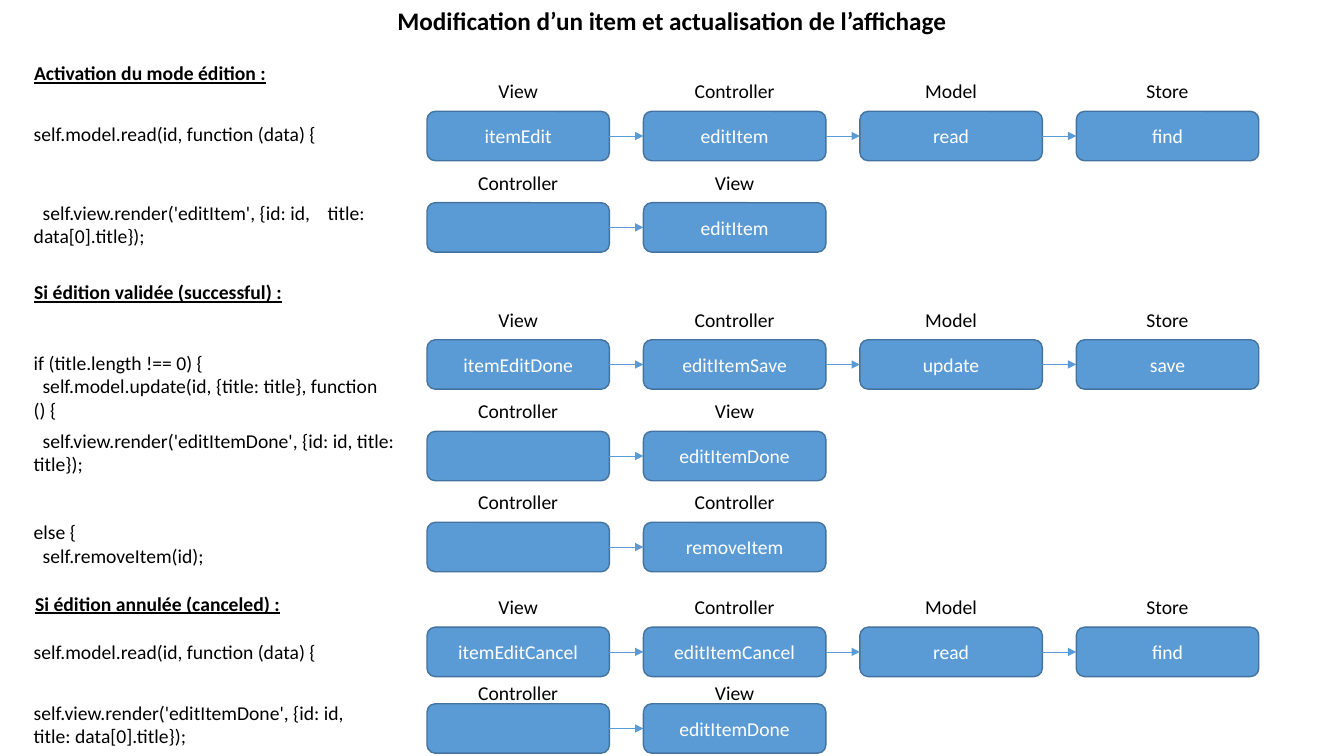
from lxml.etree import SubElement
from pptx import Presentation
from pptx.dml.color import RGBColor
from pptx.enum.shapes import MSO_CONNECTOR, MSO_SHAPE
from pptx.enum.text import MSO_ANCHOR, PP_ALIGN
from pptx.oxml.ns import qn
from pptx.util import Pt

COLORS = {"text": "000000", "box": "5B9BD5", "border": "43739E", "box_text": "FFFFFF"}
FONT = "Calibri"
SLIDE_W, SLIDE_H = 960, 540

# Flow grid
FIRST_LEFT, COLUMN_STEP = 305, 154.6
BOX_W, BOX_H = 130.3, 35.3
LABEL_W, LABEL_H = 100, 24.5
LABEL_RISE = 26.4

# Section headings: left, top, width, text
HEADINGS = [
    (17.3, 40.3, 183, "Activation du mode édition :"),
    (17.3, 196.6, 204, "Si édition validée (successful) :"),
    (18, 419, 232.5, "Si édition annulée (canceled) :"),
]

# Code excerpts: top, width, height, lines
EXCERPTS = [
    (83.5, 281, 24.5, ["self.model.read(id, function (data) {"]),
    (139.7, 281, 41, ["  self.view.render('editItem', {id: id,    title: data[0].title});"]),
    (247, 263.5, 58.3, ["if (title.length !== 0) {",
                        "  self.model.update(id, {title: title}, function () {"]),
    (302.6, 281, 41, ["  self.view.render('editItemDone', {id: id, title: title});"]),
    (367.9, 281, 41, ["else {", "  self.removeItem(id);"]),
    (453.8, 263.5, 24.5, ["self.model.read(id, function (data) {"]),
    (497, 263.5, 41, ["self.view.render('editItemDone', {id: id, title: data[0].title});"]),
]

# Flows: box top, label rise, (layer, function) steps
FLOWS = [
    (79.5, LABEL_RISE, [("View", "itemEdit"), ("Controller", "editItem"),
                        ("Model", "read"), ("Store", "find")]),
    (144.8, LABEL_RISE, [("Controller", ""), ("View", "editItem")]),
    (242.7, LABEL_RISE, [("View", "itemEditDone"), ("Controller", "editItemSave"),
                         ("Model", "update"), ("Store", "save")]),
    (308.1, LABEL_RISE, [("Controller", ""), ("View", "editItemDone")]),
    (373.1, LABEL_RISE, [("Controller", ""), ("Controller", "removeItem")]),
    (448, LABEL_RISE, [("View", "itemEditCancel"), ("Controller", "editItemCancel"),
                       ("Model", "read"), ("Store", "find")]),
    (502.7, 20.2, [("Controller", ""), ("View", "editItemDone")]),
]


def rgb(name):
    return RGBColor.from_string(COLORS[name])


def write_lines(frame, lines, color="text", size=14, align=PP_ALIGN.LEFT,
                bold=False, underline=False):
    frame.word_wrap = True
    for index, line in enumerate(lines):
        paragraph = frame.add_paragraph() if index else frame.paragraphs[0]
        paragraph.alignment = align
        run = paragraph.add_run()
        run.text = line
        run.font.name = FONT
        run.font.size = Pt(size)
        run.font.bold = bold
        run.font.underline = underline
        run.font.color.rgb = rgb(color)


def add_text(slide, left, top, width, height, lines, **style):
    box = slide.shapes.add_textbox(Pt(left), Pt(top), Pt(width), Pt(height))
    write_lines(box.text_frame, lines, **style)


def add_step(slide, left, top, function):
    step = slide.shapes.add_shape(
        MSO_SHAPE.ROUNDED_RECTANGLE, Pt(left), Pt(top), Pt(BOX_W), Pt(BOX_H))
    step.shadow.inherit = False
    step.fill.solid()
    step.fill.fore_color.rgb = rgb("box")
    step.line.color.rgb = rgb("border")
    step.line.width = Pt(1)
    if function:
        step.text_frame.vertical_anchor = MSO_ANCHOR.MIDDLE
        write_lines(step.text_frame, [function], color="box_text", align=PP_ALIGN.CENTER)


def add_arrow(slide, start, end, y):
    arrow = slide.shapes.add_connector(
        MSO_CONNECTOR.STRAIGHT, Pt(start), Pt(y), Pt(end), Pt(y))
    arrow.line.color.rgb = rgb("box")
    arrow.line.width = Pt(0.5)
    SubElement(arrow.line._get_or_add_ln(), qn("a:tailEnd"), type="triangle")
    SubElement(arrow._element.spPr, qn("a:effectLst"))


def add_flow(slide, top, rise, steps):
    for column, (layer, function) in enumerate(steps):
        left = FIRST_LEFT + column * COLUMN_STEP
        add_step(slide, left, top, function)
        add_text(slide, left + (BOX_W - LABEL_W) / 2, top - rise, LABEL_W, LABEL_H,
                 [layer], align=PP_ALIGN.CENTER)
        if column:
            add_arrow(slide, left - COLUMN_STEP + BOX_W, left, top + BOX_H / 2)


def main():
    deck = Presentation()
    deck.slide_width, deck.slide_height = Pt(SLIDE_W), Pt(SLIDE_H)
    slide = deck.slides.add_slide(deck.slide_layouts[6])

    # Title
    add_text(slide, 0, 0, SLIDE_W, 29, ["Modification d’un item et actualisation de l’affichage"],
             size=18, align=PP_ALIGN.CENTER, bold=True)

    # Headings and code on the left
    for left, top, width, heading in HEADINGS:
        add_text(slide, left, top, width, LABEL_H, [heading], bold=True, underline=True)
    for top, width, height, lines in EXCERPTS:
        add_text(slide, 17, top, width, height, lines)

    # Call flows on the right
    for top, rise, steps in FLOWS:
        add_flow(slide, top, rise, steps)

    deck.save("out.pptx")


if __name__ == "__main__":
    main()
